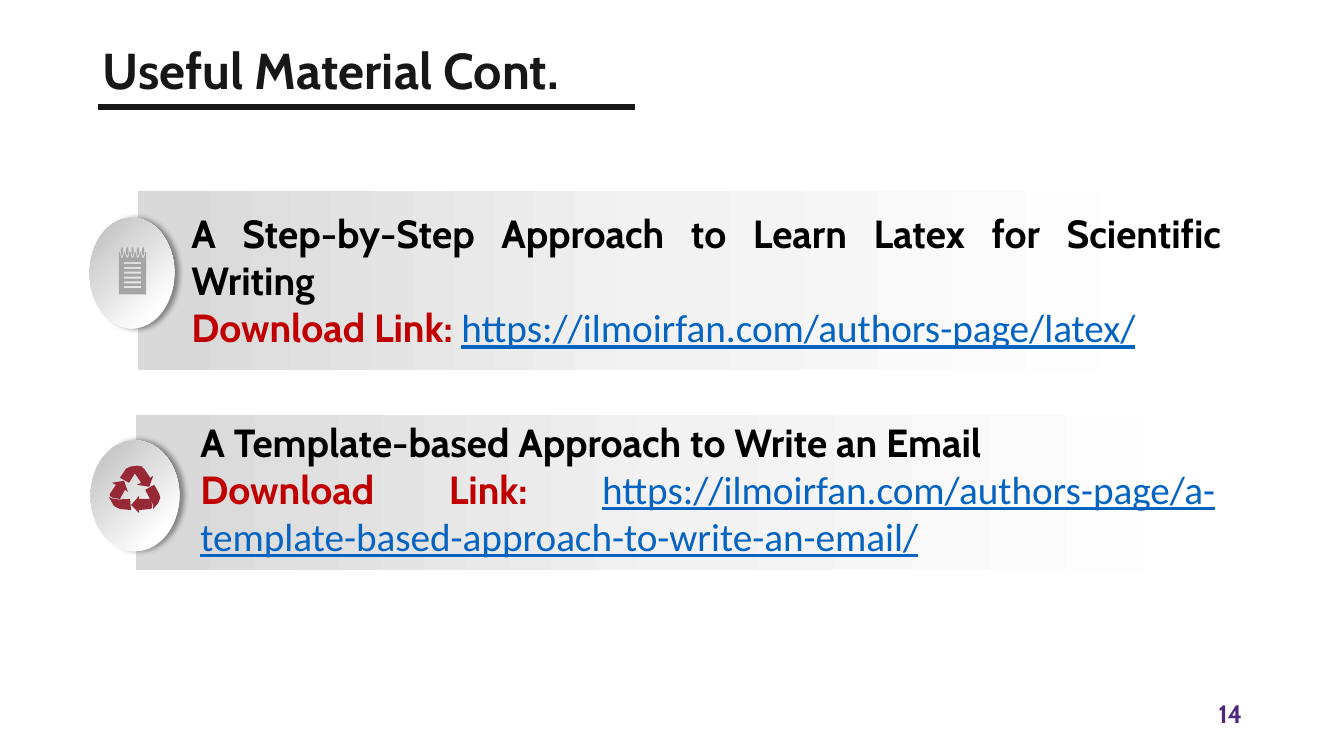
from dataclasses import dataclass

from pptx import Presentation, oxml
from pptx import util as u
from pptx.dml.color import RGBColor
from pptx.enum import shapes, text
from pptx.oxml.ns import nsdecls, qn


@dataclass(frozen=True)
class Theme:
    """Colours, fonts and type sizes of the slide."""
    heading: str = "Cabin"
    body: str = "Calibri"
    title_size: int = 36
    body_size: int = 28
    number_size: int = 18
    ink: str = "181717"
    black: str = "000000"
    label: str = "C00000"
    link: str = "0563C1"
    number: str = "4C287F"
    notepad: str = "A5A5A5"
    recycle: str = "972936"
    band: tuple = ((3, "D9D9D9"), (50, "F2F2F2"), (100, "FFFFFF"))
    badge: tuple = ((3, "BFBFBF"), (83, "FFFFFF"))


THEME = Theme()
LINEAR = '<a:lin ang="10800000" scaled="0"/>'
RADIAL = '<a:path path="circle"><a:fillToRect r="100000" b="100000"/></a:path>'
SHADOW = ('<a:outerShdw {} blurRad="50800" dist="38100" dir="0" algn="l" rotWithShape="0">'
          '<a:srgbClr val="000000"><a:alpha val="40000"/></a:srgbClr></a:outerShdw>')
RECYCLE_ARROWS = [
    [(0, .31), (.03, .325), (.09, .335), (.21, .33), (.22, .44), (.11, .43), (.05, .4)],
    [(.3, .3), (.3, .33), (.41, .33), (.43, .39), (.43, .42), (.41, .43),
     (.3, .44), (.3, .47), (.22, .39)],
    [(.45, .19), (.5, .28), (.51, .32), (.49, .37), (.44, .43), (.44, .39), (.36, .24)],
    [(.15, .15), (.19, .26), (.16, .24), (.11, .33), (.04, .32), (.01, .3),
     (.01, .28), (.07, .19), (.03, .17)],
    [(.33, .02), (.35, .03), (.41, .12), (.44, .1), (.4, .21), (.28, .19),
     (.32, .17), (.26, .08), (.3, .03)],
    [(.28, 0), (.34, .01), (.29, .04), (.25, .09), (.2, .17), (.11, .12),
     (.17, .03), (.21, .01)],
]


def set_font(target, size, color, name=THEME.heading, bold=True):
    """Style a paragraph or a run."""
    font = target.font
    font.name, font.size, font.bold = name, u.Pt(size), bold
    font.color.rgb = RGBColor.from_string(color)


def add_text_box(slide, box, anchor=text.MSO_ANCHOR.TOP):
    """Add a wrapping text box and return its frame."""
    frame = slide.shapes.add_textbox(*map(u.Inches, box)).text_frame
    frame.word_wrap = True
    frame.vertical_anchor = anchor
    return frame


def add_gradient_shape(slide, kind, box, stops, direction):
    """Add a mirrored, borderless shape with a gradient fill."""
    shape = slide.shapes.add_shape(kind, *map(u.Inches, box))
    shape.shadow.inherit = False
    shape.line.fill.background()
    properties = shape._element.spPr
    properties.find(qn("a:xfrm")).set("flipH", "1")
    stop_list = "".join(f'<a:gs pos="{place * 1000}"><a:srgbClr val="{color}"/></a:gs>'
                        for place, color in stops)
    gradient = oxml.parse_xml(f'<a:gradFill {nsdecls("a")} rotWithShape="1">'
                              f'<a:gsLst>{stop_list}</a:gsLst>{direction}</a:gradFill>')
    properties.find(qn("a:prstGeom")).addnext(gradient)
    return shape


def add_outline(slide, left, top, contours, color):
    """Draw closed contours, given relative to a corner, as one shape."""
    placed = [[(u.Inches(left + x), u.Inches(top + y)) for x, y in contour]
              for contour in contours]
    builder = slide.shapes.build_freeform(*placed[0][0])
    for index, contour in enumerate(placed):
        if index:
            builder.move_to(*contour[0])
        builder.add_line_segments(contour[1:], close=True)
    shape = builder.convert_to_shape()
    shape.shadow.inherit = False
    shape.fill.solid()
    shape.fill.fore_color.rgb = RGBColor.from_string(color)
    shape.line.fill.background()


def add_notepad(slide, left, top):
    """Draw a spiral notepad with six ruled lines."""
    rings = [.03 + .0525 * index for index in range(5)]
    page = [(0, .05)]
    for x in rings:
        page += [(x - .02, .05), (x - .02, .07), (x - .01, .1), (x, .11),
                 (x + .01, .1), (x + .02, .07), (x + .02, .05)]
    page += [(.27, .05), (.27, .47), (0, .47)]
    wires = [[(x, 0), (x + .01, .02), (x + .01, .07), (x, .09),
              (x - .01, .07), (x - .01, .02)] for x in rings]
    rules = [[(.05, y), (.22, y), (.22, y + .02), (.05, y + .02)]
             for y in (.15 + .048 * index for index in range(6))]
    add_outline(slide, left, top, [page, *wires, *rules], THEME.notepad)


def add_recycle(slide, left, top):
    """Draw three folded arrows in a ring."""
    add_outline(slide, left, top, RECYCLE_ARROWS, THEME.recycle)


def add_title(slide, box):
    """Add the heading and the rule under it."""
    left, top = box[:2]
    paragraph = add_text_box(slide, box, text.MSO_ANCHOR.MIDDLE).paragraphs[0]
    paragraph.text = "Useful Material Cont."
    paragraph.line_spacing = .9
    set_font(paragraph, THEME.title_size, THEME.ink)
    start, end, y = u.Inches(left + .05), u.Inches(left + 5.38), u.Inches(top + 1.06)
    rule = slide.shapes.add_connector(shapes.MSO_CONNECTOR.STRAIGHT, start, y, end, y)
    rule.line.color.rgb = RGBColor.from_string(THEME.ink)
    rule.line.width = u.Pt(4.5)
    rule._element.spPr.append(oxml.parse_xml(f'<a:effectLst {nsdecls("a")}/>'))


def add_material(slide, band, text_box, badge, heading, link, draw_icon, icon_offset):
    """Add one material: band, badge, icon and text, placed from the band's corner."""
    left, top = band[:2]

    def shift(box):
        """Move a box from the band's corner to the slide."""
        return (left + box[0], top + box[1], *box[2:])

    add_gradient_shape(slide, shapes.MSO_SHAPE.RECTANGLE, band, THEME.band, LINEAR)
    frame = add_text_box(slide, shift(text_box))
    frame.auto_size = text.MSO_AUTO_SIZE.SHAPE_TO_FIT_TEXT
    title, download = frame.paragraphs[0], frame.add_paragraph()
    title.alignment = download.alignment = text.PP_ALIGN.JUSTIFY
    title.text = heading
    set_font(title, THEME.body_size, THEME.black)
    label, address = download.add_run(), download.add_run()
    label.text, address.text = "Download Link: ", link
    set_font(label, THEME.body_size, THEME.label)
    set_font(address, THEME.body_size, THEME.link, THEME.body, False)
    address.font.underline = True
    disc = add_gradient_shape(slide, shapes.MSO_SHAPE.OVAL, shift(badge), THEME.badge, RADIAL)
    effects = disc._element.spPr.find(qn("a:effectLst"))
    effects.append(oxml.parse_xml(SHADOW.format(nsdecls("a"))))
    draw_icon(slide, *shift(icon_offset))


def add_slide_number(slide, box):
    """Add the page number at the right of its box."""
    paragraph = add_text_box(slide, box, text.MSO_ANCHOR.MIDDLE).paragraphs[0]
    paragraph.text = "14"
    paragraph.alignment = text.PP_ALIGN.RIGHT
    set_font(paragraph, THEME.number_size, THEME.number)


def main():
    """Build and save the slide."""
    presentation = Presentation()
    presentation.slide_width, presentation.slide_height = u.Inches(13.33), u.Inches(7.5)
    slide = presentation.slides.add_slide(presentation.slide_layouts[6])
    add_slide_number(slide, (9.42, 6.88, 3, .4))
    add_title(slide, (.92, 0, 11.5, 1.45))
    add_material(slide, (1.37, 1.89, 10.27, 1.78), (.43, .14, 10.41, 1.51),
                 (-.48, .27, .84, 1.1),
                 "A Step-by-Step Approach to Learn Latex for Scientific Writing",
                 "https://ilmoirfan.com/authors-page/latex/", add_notepad, (-.19, .56))
    add_material(slide, (1.35, 4.12, 10.77, 1.54), (.54, -.02, 10.26, 1.51),
                 (-.45, .25, .88, 1.1),
                 "A Template-based Approach to Write an Email",
                 "https://ilmoirfan.com/authors-page/a-template-based-approach-to-write-an-email/",
                 add_recycle, (-.27, .5))
    presentation.save("out.pptx")


if __name__ == "__main__":
    main()
